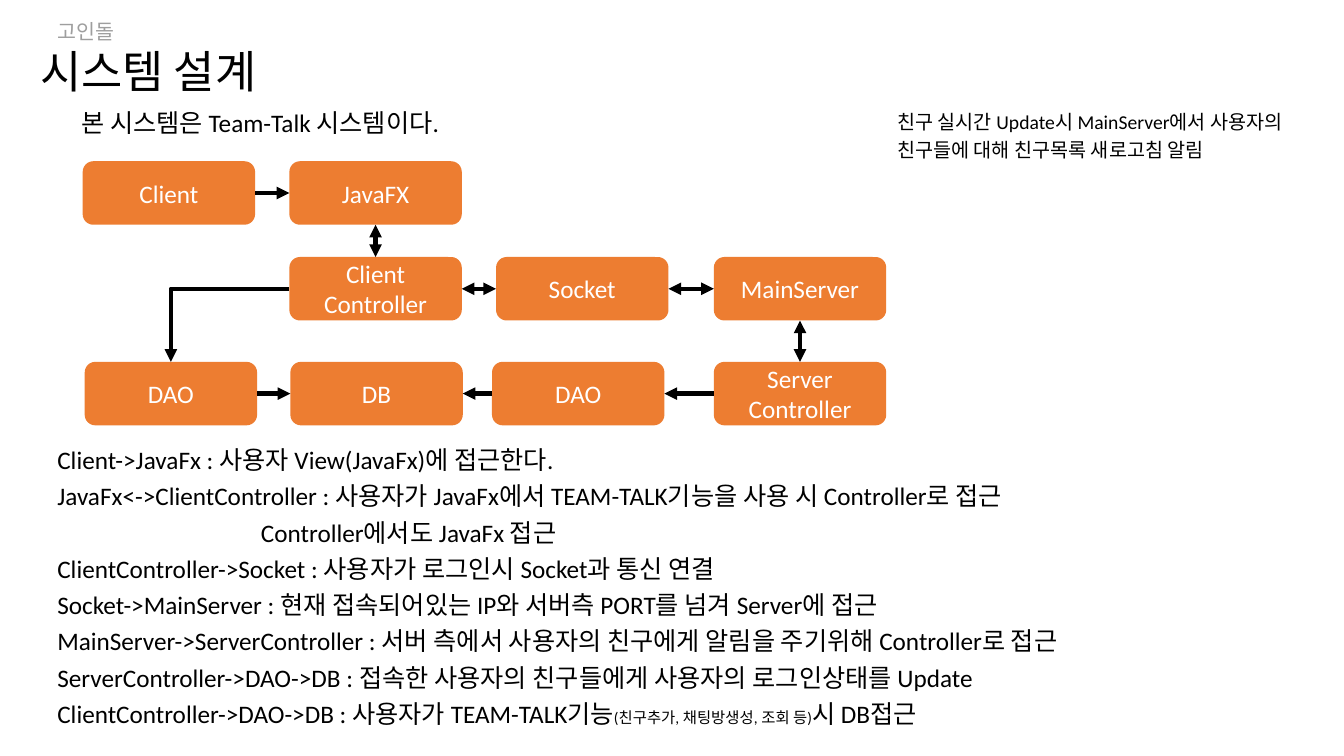
"""Build the system design slide: a block diagram with notes on each link."""
from lxml import etree
from pptx import Presentation
from pptx import util as u
from pptx.dml.color import RGBColor
from pptx.enum import shapes, text
from pptx.oxml.ns import qn

BLACK = RGBColor(0x00, 0x00, 0x00)
WHITE = RGBColor(0xFF, 0xFF, 0xFF)
GREY = RGBColor(0x9E, 0x9E, 0x9E)
ORANGE = RGBColor(0xED, 0x7D, 0x31)
FONT = "Calibri"
BLOCK_WIDTH, BLOCK_HEIGHT = 1.71, 0.63
TOP, LEFT, BOTTOM, RIGHT = range(4)

deck = Presentation()
deck.slide_width, deck.slide_height = u.Inches(13.33), u.Inches(7.5)
slide = deck.slides.add_slide(deck.slide_layouts[6])


def style(paragraph, size, color):
    for run in paragraph.runs:
        run.font.name = FONT
        run.font.size = u.Pt(size)
        run.font.color.rgb = color


def add_label(wording, place, size, color=BLACK, spacing=None):
    label = slide.shapes.add_textbox(*map(u.Inches, place))
    frame = label.text_frame
    frame.word_wrap = True
    frame.auto_size = text.MSO_AUTO_SIZE.SHAPE_TO_FIT_TEXT
    frame.text = wording
    for paragraph in frame.paragraphs:
        paragraph.line_spacing = spacing
        style(paragraph, size, color)
    return frame


add_label("본 시스템은 Team-Talk 시스템이다.", (0.71, 1.02, 5.41, 0.4), 18)
add_label("시스템 설계", (0.3, 0.38, 8.22, 0.64), 32)
add_label("고인돌", (0.47, 0.14, 2.83, 0.35), 14.7, GREY)
add_label("친구 실시간 Update시 MainServer에서 사용자의 친구들에 대해 친구목록 새로고침 알림",
          (8.8, 0.99, 4.2, 0.64), 14, spacing=1.2)

link_notes = [
    "Client->JavaFx : 사용자 View(JavaFx)에 접근한다.",
    "JavaFx<->ClientController : 사용자가 JavaFx에서 TEAM-TALK기능을 사용 시 Controller로 접근",
    "Controller에서도 JavaFx 접근",
    "ClientController->Socket : 사용자가 로그인시 Socket과 통신 연결",
    "Socket->MainServer : 현재 접속되어있는 IP와 서버측 PORT를 넘겨 Server에 접근",
    "MainServer->ServerController : 서버 측에서 사용자의 친구에게 알림을 주기위해 Controller로 접근",
    "ServerController->DAO->DB : 접속한 사용자의 친구들에게 사용자의 로그인상태를 Update",
    "ClientController->DAO->DB : 사용자가 TEAM-TALK기능",
]
notes = add_label("\n".join(link_notes), (0.47, 4.3, 12.55, 2.98), 18, spacing=1.2).paragraphs
notes[2]._p.get_or_add_pPr().set("marL", str(u.Inches(2.02)))
for wording in ("(친구추가, 채팅방생성, 조회 등)", "시 DB접근"):
    notes[-1].add_run().text = wording
style(notes[-1], 18, BLACK)
notes[-1].runs[1].font.size = u.Pt(11)

block_rows = [
    (1.6, [("client", 0.82, "Client"), ("javafx", 2.87, "JavaFX")]),
    (2.55, [("client controller", 2.87, "Client\nController"),
            ("socket", 4.92, "Socket"), ("main server", 7.08, "MainServer")]),
    (3.59, [("client dao", 0.84, "DAO"), ("db", 2.88, "DB"),
            ("server dao", 4.88, "DAO"), ("server controller", 7.08, "Server\nController")]),
]
blocks = {}
for row_top, row in block_rows:
    for key, left, wording in row:
        block = slide.shapes.add_shape(
            shapes.MSO_SHAPE.ROUNDED_RECTANGLE,
            *map(u.Inches, (left, row_top, BLOCK_WIDTH, BLOCK_HEIGHT)))
        block.shadow.inherit = False
        block.fill.solid()
        block.fill.fore_color.rgb = ORANGE
        block.line.fill.background()
        block.text_frame.text = wording
        block.text_frame.vertical_anchor = text.MSO_ANCHOR.MIDDLE
        for paragraph in block.text_frame.paragraphs:
            paragraph.alignment = text.PP_ALIGN.CENTER
            style(paragraph, 18, WHITE)
        blocks[key] = block

ONE_WAY, TWO_WAY = ("tailEnd",), ("headEnd", "tailEnd")
links = [
    ("client", RIGHT, "javafx", LEFT, ONE_WAY),
    ("javafx", BOTTOM, "client controller", TOP, TWO_WAY),
    ("client controller", RIGHT, "socket", LEFT, TWO_WAY),
    ("socket", RIGHT, "main server", LEFT, TWO_WAY),
    ("main server", BOTTOM, "server controller", TOP, TWO_WAY),
    ("server controller", LEFT, "server dao", RIGHT, ONE_WAY),
    ("server dao", LEFT, "db", RIGHT, ONE_WAY),
    ("client dao", RIGHT, "db", LEFT, ONE_WAY),
    ("client controller", LEFT, "client dao", TOP, ONE_WAY),
]
for source, source_side, target, target_side, arrowheads in links:
    turns = (source_side, target_side) == (LEFT, TOP)
    kind = shapes.MSO_CONNECTOR.ELBOW if turns else shapes.MSO_CONNECTOR.STRAIGHT
    link = slide.shapes.add_connector(kind, 0, 0, 0, 0)
    link.begin_connect(blocks[source], source_side)
    link.end_connect(blocks[target], target_side)
    link.line.color.rgb = BLACK
    link.line.width = u.Pt(3)
    properties = link._element.spPr
    if turns:
        properties.find(qn("a:prstGeom")).set("prst", "bentConnector2")
    for end in arrowheads:
        etree.SubElement(properties.find(qn("a:ln")), qn("a:" + end), type="triangle")
    etree.SubElement(properties, qn("a:effectLst"))

deck.save("out.pptx")
